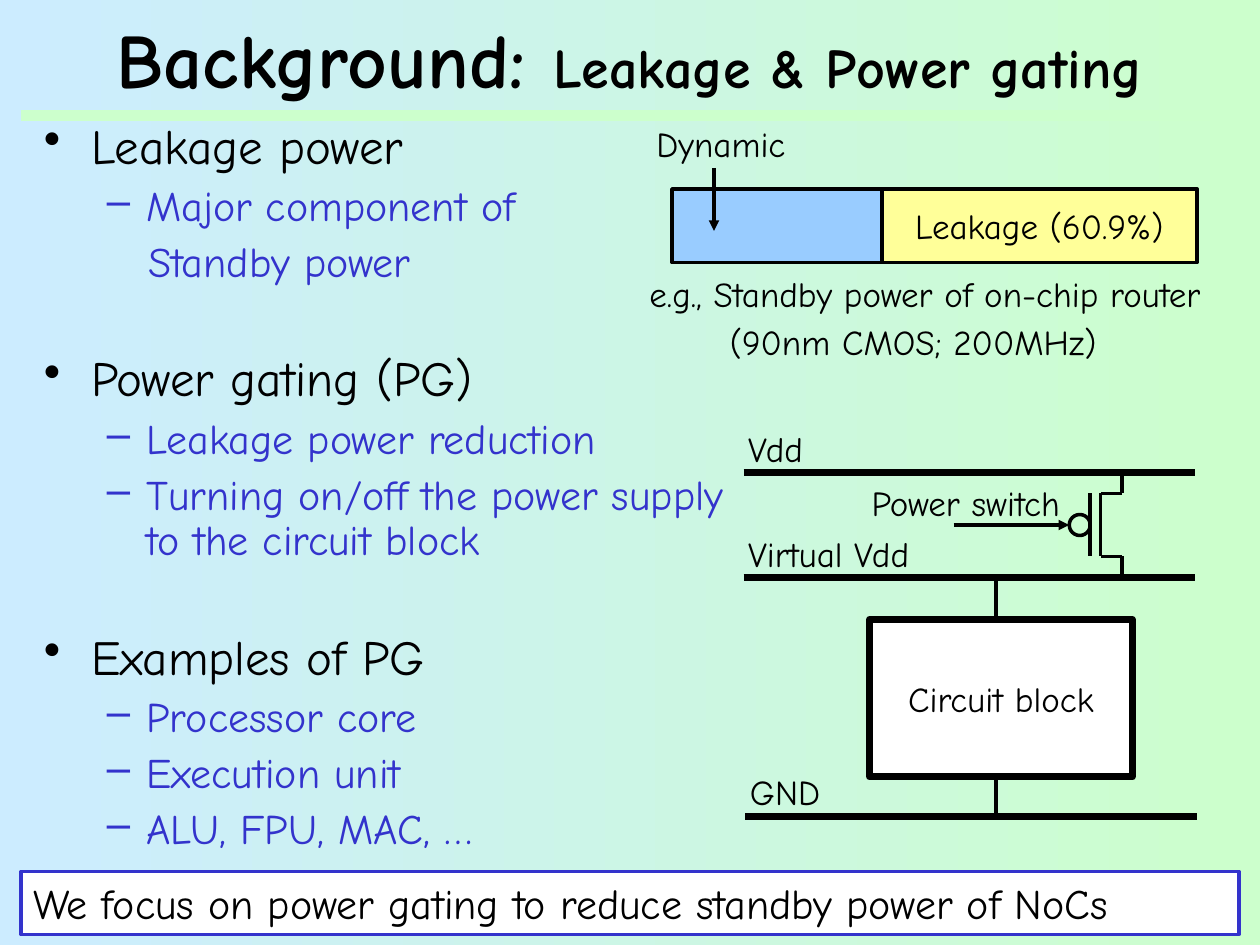
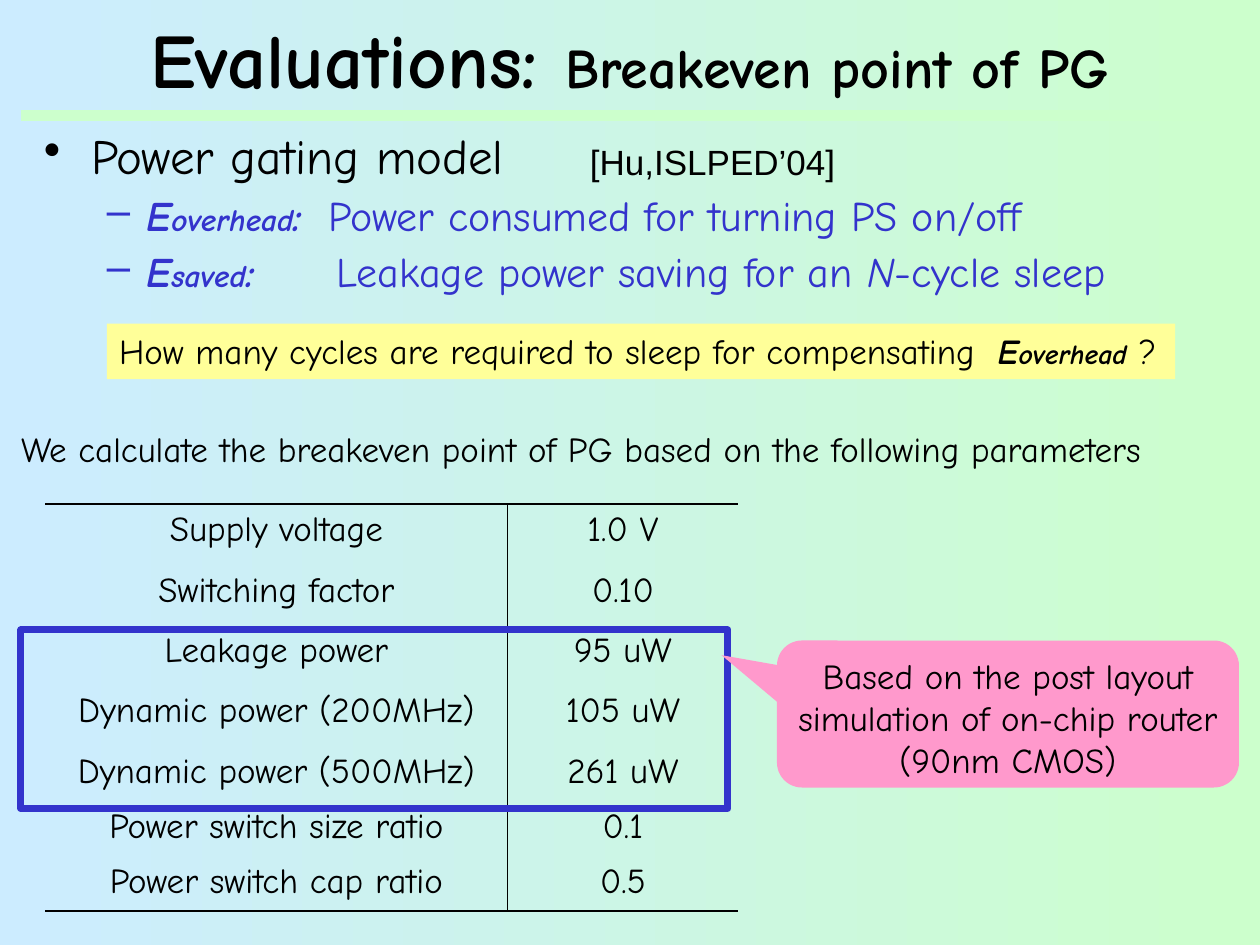
from itertools import pairwise

from pptx import Presentation
from pptx.dml.color import RGBColor
from pptx.enum import shapes, text
from pptx.oxml import ns, xmlchemy
from pptx.util import Pt

BLACK = RGBColor(0, 0, 0)
WHITE = RGBColor(255, 255, 255)
INDIGO = RGBColor(0x33, 0x33, 0xCC)
MINT = RGBColor(0xCC, 0xFF, 0xCC)
SKY = RGBColor(0xCC, 0xEC, 0xFF)
BLUE = RGBColor(0x99, 0xCC, 0xFF)
YELLOW = RGBColor(0xFF, 0xFF, 0x99)
PINK = RGBColor(0xFF, 0x99, 0xCC)

SHAPE = shapes.MSO_SHAPE
CENTER = text.PP_ALIGN.CENTER
MIDDLE = text.MSO_ANCHOR.MIDDLE
NO_STYLE_NO_GRID = "{2D5ABB26-0587-4C30-8999-92F81FD0307C}"

# Outline levels: paragraph format, bullet, left margin, first-line offset, font
HEAD = dict(space=7, bullet="•", margin=27, hang=-27, size=28, color=BLACK)
ITEM = dict(space=6, bullet="–", margin=58.5, hang=-22.5, size=24, color=INDIGO)
# A head set off from the list above it by one line
NEXT_HEAD = HEAD | dict(space=39)
CONTINUED = ITEM | dict(bullet=None, margin=59.5, hang=0)
SYMBOL = dict(bold=True, italic=True)


def add_xml(parent, tag, **attrs):
    el = xmlchemy.OxmlElement(tag)
    for name, value in attrs.items():
        el.set(name, str(value))
    parent.append(el)
    return el


def add_color(parent, tag, color):
    add_xml(add_xml(parent, tag), "a:srgbClr", val=color)


class Deck:
    """Holds the text style and the slide being drawn."""

    font = dict(name="Comic Neue", size=20, bold=False, italic=False, color=BLACK)

    def __init__(self):
        self.prs = Presentation()
        self.prs.slide_width, self.prs.slide_height = Pt(720), Pt(540)
        self.s = None

    def new_slide(self, topic, subject):
        self.s = self.prs.slides.add_slide(self.prs.slide_layouts[6])
        fill = self.s.background.fill
        fill.gradient()
        fill.gradient_angle = 180
        for stop, color, position in zip(fill.gradient_stops, (MINT, SKY), (0, 1)):
            stop.color.rgb = color
            stop.position = position
        self.line((12, 66), (714, 66), MINT, 6)
        self.label([(topic + " ", dict(size=44)), subject], 18, 6, 684, 54,
                   align=CENTER, anchor=MIDDLE, size=32, bold=True)

    def runs(self, p, content, **fmt):
        """Fill p from a string, or from a list of strings and (text, format) pairs."""
        for part in [content] if isinstance(content, str) else content:
            words, own = (part, {}) if isinstance(part, str) else part
            r = p.add_run()
            r.text = words
            values = self.font | fmt | own
            r.font.color.rgb = values.pop("color")
            values["size"] = Pt(values["size"])
            spacing = values.pop("spacing", None)
            for name, value in values.items():
                setattr(r.font, name, value)
            if spacing:
                r._r.get_or_add_rPr().set("spc", str(spacing * 100))

    def caption(self, sp, content, align=None, anchor=text.MSO_ANCHOR.TOP, wrap=True, **fmt):
        tf = sp.text_frame
        tf.word_wrap, tf.vertical_anchor = wrap, anchor
        p = tf.paragraphs[0]
        p.alignment = align or text.PP_ALIGN.LEFT
        self.runs(p, content, **fmt)

    def label(self, content, x, y, w, h=31.7, **fmt):
        sp = self.s.shapes.add_textbox(Pt(x), Pt(y), Pt(w), Pt(h))
        self.caption(sp, content, **fmt)

    def outline(self, items, x, y, w, h):
        tf = self.s.shapes.add_textbox(Pt(x), Pt(y), Pt(w), Pt(h)).text_frame
        tf.word_wrap = True
        for i, (level, content) in enumerate(items):
            p = tf.add_paragraph() if i else tf.paragraphs[0]
            p.line_spacing, p.space_before = 0.9, Pt(level["space"])
            pPr = p._p.get_or_add_pPr()
            pPr.set("marL", str(Pt(level["margin"])))
            pPr.set("indent", str(Pt(level["hang"])))
            if level["bullet"]:
                add_color(pPr, "a:buClr", level["color"])
                add_xml(pPr, "a:buChar", char=level["bullet"])
            self.runs(p, content, size=level["size"], color=level["color"])

    def shape(self, kind, x, y, w, h, fill=None, line=None, width=2):
        sp = self.s.shapes.add_shape(kind, Pt(x), Pt(y), Pt(w), Pt(h))
        sp.shadow.inherit = False
        if fill is None:
            sp.fill.background()
        else:
            sp.fill.solid()
            sp.fill.fore_color.rgb = fill
        if line is None:
            sp.line.fill.background()
        else:
            sp.line.color.rgb = line
            sp.line.width = Pt(width)
        return sp

    def line(self, start, end, color=BLACK, width=2, arrow=False):
        ends = [Pt(v) for v in (*start, *end)]
        cx = self.s.shapes.add_connector(shapes.MSO_CONNECTOR.STRAIGHT, *ends)
        cx.line.color.rgb = color
        cx.line.width = Pt(width)
        if arrow:
            add_xml(cx.line._get_or_add_ln(), "a:tailEnd", type="triangle")
        add_xml(cx._element.spPr, "a:effectLst")

    def table(self, rows, x, y, widths, heights):
        """Draw a two-column table ruled at top, bottom and between the columns."""
        frame = self.s.shapes.add_table(len(rows), len(widths), Pt(x), Pt(y),
                                        Pt(sum(widths)), Pt(sum(heights)))
        table = frame.table
        table.first_row = table.horz_banding = False
        table._tbl.tblPr.find(ns.qn("a:tableStyleId")).text = NO_STYLE_NO_GRID
        for col, w in zip(table.columns, widths):
            col.width = Pt(w)
        for i, (row, h) in enumerate(zip(rows, heights)):
            table.rows[i].height = Pt(h)
            for j, words in enumerate(row):
                cell = table.cell(i, j)
                rules = {"a:lnL": 0.45 * (j == 1), "a:lnR": 0.45 * (j == 0),
                         "a:lnT": 1.08 * (i == 0),
                         "a:lnB": 1.08 * (i == len(rows) - 1)}
                tcPr = cell._tc.get_or_add_tcPr()
                for tag, width in rules.items():
                    if width:
                        add_color(add_xml(tcPr, tag, w=Pt(width)), "a:solidFill", BLACK)
                cell.fill.background()
                p = cell.text_frame.paragraphs[0]
                p.alignment, p.space_before = CENTER, Pt(5)
                self.runs(p, words)


def draw_standby_bar(deck):
    deck.shape(SHAPE.RECTANGLE, 384, 108, 120, 42, BLUE, BLACK)
    leakage = deck.shape(SHAPE.RECTANGLE, 504, 108, 180, 42, YELLOW, BLACK)
    deck.caption(leakage, "Leakage (60.9%)", CENTER, MIDDLE)
    deck.label("Dynamic", 368, 66.5, 90)
    deck.line((408, 96), (408, 132), arrow=True)
    deck.label("e.g., Standby power of on-chip router", 364, 152, 340)
    deck.label("(90nm CMOS; 200MHz)", 410, 179.5, 226)


def draw_power_switch_circuit(deck):
    for name, x, y in (("Vdd", 425, 270), ("Virtual Vdd", 425, 330), ("GND", 426, 466.5)):
        deck.line((x, y), (x + 258, y), width=4)
        deck.label(name, x - 4.5, y - 29.5, 130)
    channel = [(641, 270), (641, 282), (629, 282), (629, 318), (641, 318), (641, 330)]
    for start, end in pairwise(channel):
        deck.line(start, end)
    deck.line((623, 282), (623, 318))
    deck.shape(SHAPE.OVAL, 611, 294, 12, 12, line=BLACK)
    deck.line((545, 300), (611, 300), arrow=True)
    deck.label("Power switch", 491, 271.5, 126)
    block = deck.shape(SHAPE.RECTANGLE, 497, 354, 150, 90, WHITE, BLACK, 4)
    deck.caption(block, "Circuit block", CENTER, MIDDLE)
    for top, bottom in ((330, 354), (444, 467)):
        deck.line((569, top), (569, bottom))


def draw_background(deck):
    deck.new_slide("Background:", "Leakage & Power gating")
    deck.outline([
        (HEAD, "Leakage power"),
        (ITEM, "Major component of"),
        (CONTINUED, "Standby power"),
        (NEXT_HEAD, "Power gating (PG)"),
        (ITEM, "Leakage power reduction"),
        (ITEM, "Turning on/off the power supply to the circuit block"),
        (NEXT_HEAD, "Examples of PG"),
        (ITEM, "Processor core"),
        (ITEM, "Execution unit"),
        (ITEM, "ALU, FPU, MAC, …"),
    ], 18, 66, 414, 444)
    focus = deck.shape(SHAPE.RECTANGLE, 12, 498, 696, 36, WHITE, INDIGO)
    deck.caption(focus, "We focus on power gating to reduce standby power of NoCs", size=24)
    draw_power_switch_circuit(deck)
    draw_standby_bar(deck)


def draw_evaluations(deck):
    deck.new_slide("Evaluations:", "Breakeven point of PG")
    deck.table([
        ("Supply voltage", "1.0 V"),
        ("Switching factor", "0.10"),
        ("Leakage power", "95 uW"),
        ("Dynamic power (200MHz)", "105 uW"),
        ("Dynamic power (500MHz)", "261 uW"),
        ("Power switch size ratio", "0.1"),
        ("Power switch cap ratio", "0.5"),
    ], 26, 288, (264, 132), [34.5] * 4 + [31.5] * 3)
    deck.shape(SHAPE.RECTANGLE, 12, 360, 404, 102, line=INDIGO, width=4)
    callout = deck.shape(SHAPE.ROUNDED_RECTANGULAR_CALLOUT, 444, 366, 264, 84, PINK)
    for i, value in enumerate((-0.62, -0.4, 0.17)):
        callout.adjustments[i] = value
    deck.caption(callout, "Based on the post layout simulation of on-chip router (90nm CMOS)",
                 CENTER)

    small = SYMBOL | dict(size=18)
    deck.outline([
        (HEAD, "Power gating model"),
        (ITEM, [("E", SYMBOL), ("overhead", small), (":", SYMBOL),
                (" ", dict(spacing=7)), "Power consumed for turning PS on/off"]),
        (ITEM, [("E", SYMBOL), ("saved", small), (":", SYMBOL),
                (" ", dict(spacing=39)), "Leakage power saving for an ",
                ("N", dict(italic=True)), "-cycle sleep"]),
    ], 18, 72, 684, 102)
    deck.label("[Hu,ISLPED’04]", 330, 77, 160, name="Arial")
    question = deck.shape(SHAPE.RECTANGLE, 61, 185, 610.5, 31.7, YELLOW)
    deck.caption(question, ["How many cycles are required to sleep for compensating",
                            (" ", dict(spacing=6)), ("E", SYMBOL),
                            ("overhead", SYMBOL | dict(size=16)), " ?"], wrap=False)
    deck.label("We calculate the breakeven point of PG based on the following parameters",
               5, 241, 714)


def main():
    deck = Deck()
    draw_background(deck)
    draw_evaluations(deck)
    deck.prs.save("out.pptx")


if __name__ == "__main__":
    main()
